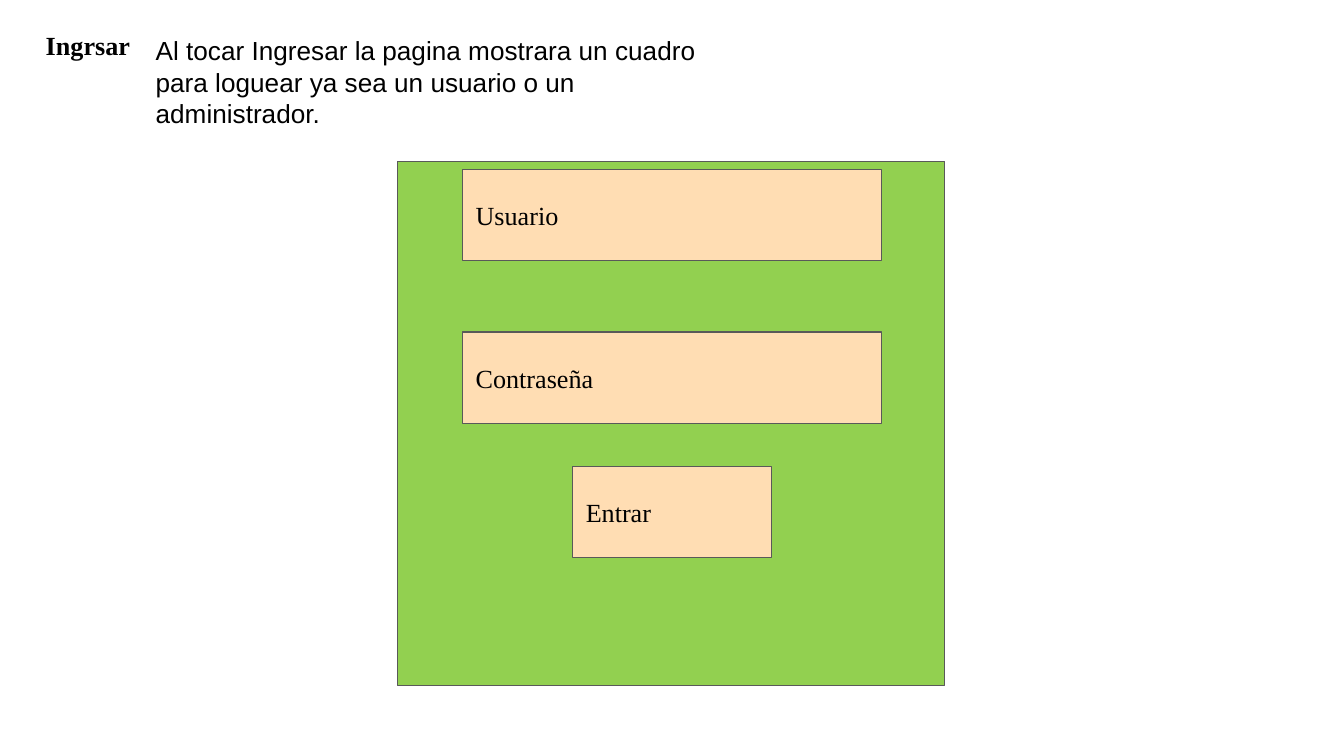
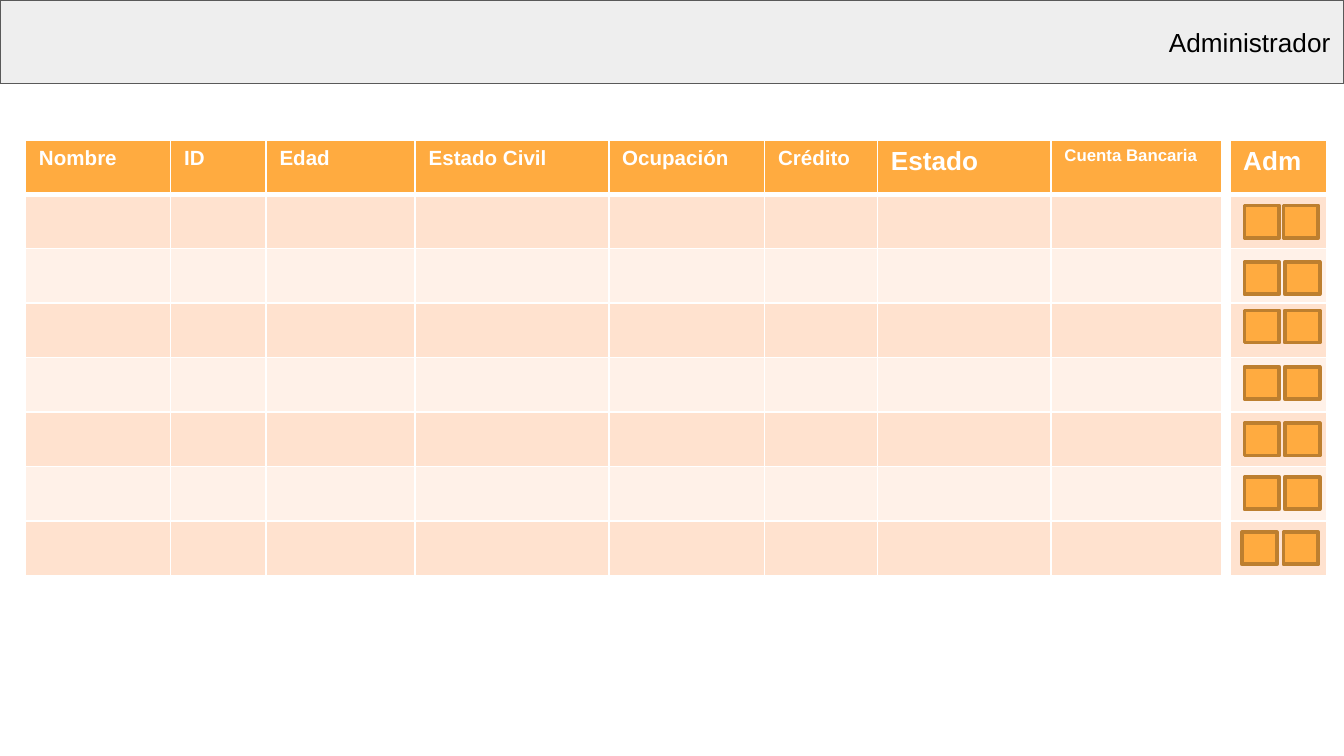
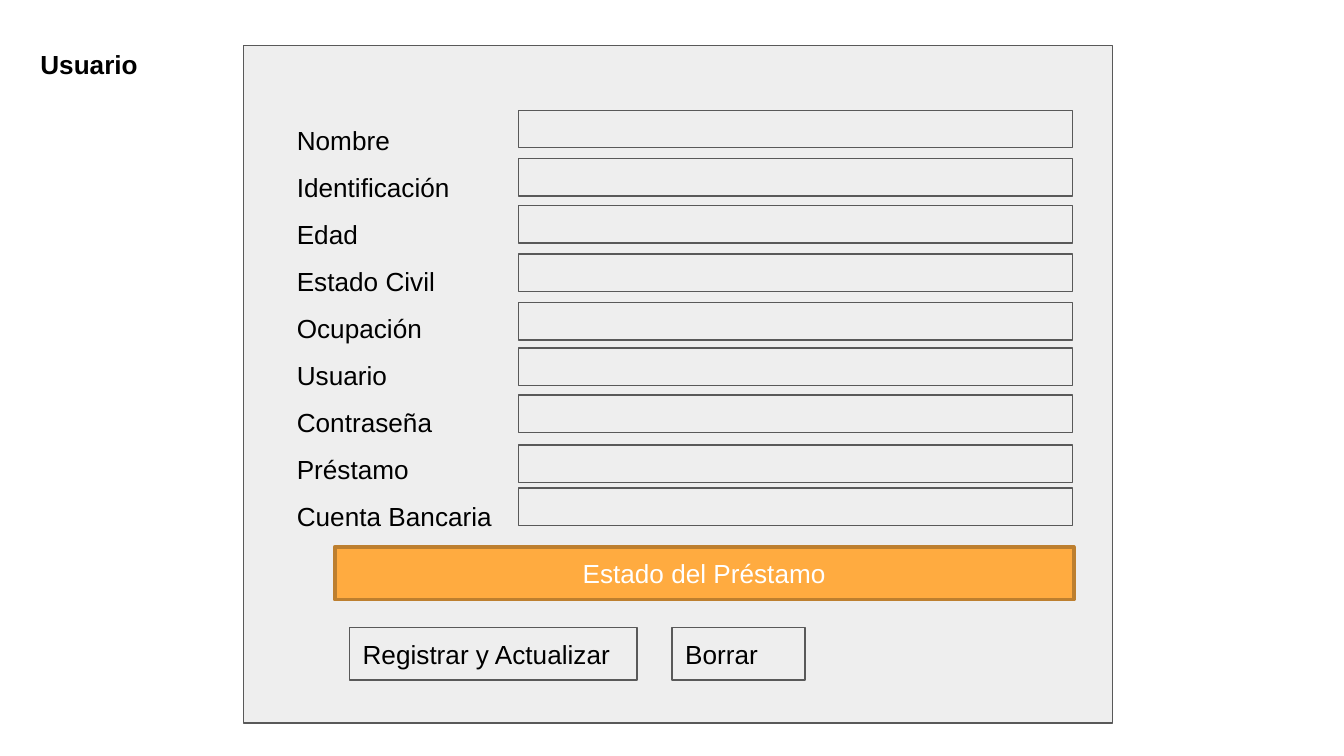
"""Build three wireframe slides: log in, administrator table and user form."""
from lxml import etree
from pptx import Presentation
from pptx.dml.color import RGBColor
from pptx.enum import shapes, text
from pptx.oxml import ns
from pptx.util import Inches, Pt

BLACK = RGBColor(0x00, 0x00, 0x00)
WHITE = RGBColor(0xFF, 0xFF, 0xFF)
GREY = RGBColor(0xEE, 0xEE, 0xEE)
DARK = RGBColor(0x59, 0x59, 0x59)
GREEN = RGBColor(0x92, 0xD0, 0x50)
PEACH = RGBColor(0xFF, 0xDD, 0xB3)
ORANGE = RGBColor(0xFF, 0xAB, 0x40)
BROWN = RGBColor(0xBD, 0x7F, 0x2F)
BANDS = (RGBColor(0xFF, 0xE2, 0xCF), RGBColor(0xFF, 0xF1, 0xE8))
SANS, SERIF = "Arial", "Times New Roman"
LEFT, CENTER, RIGHT = (text.PP_ALIGN.LEFT, text.PP_ALIGN.CENTER,
                       text.PP_ALIGN.RIGHT)
TOP, MIDDLE = text.MSO_ANCHOR.TOP, text.MSO_ANCHOR.MIDDLE
TITLE_ONLY = 5
SLIDE_WIDTH = 10
SLIDE_HEIGHT = SLIDE_WIDTH * 9 / 16

LOGIN_INTRO = ("Al tocar Ingresar la pagina mostrara un cuadro para loguear "
               "ya sea un usuario o un administrador.")
LOGIN_BOXES = [
    ("Usuario", 1.26, 3.12),
    ("Contraseña", 2.47, 3.12),
    ("Entrar", 3.47, 1.48),
]

ADMIN_TABLES = [
    (0.19, [("Nombre", 1.08, 11), ("ID", 0.71, 11), ("Edad", 1.11, 11),
            ("Estado Civil", 1.44, 11), ("Ocupación", 1.16, 11),
            ("Crédito", 0.84, 11), ("Estado", 1.31, 14)]),
    (7.82, [("Cuenta Bancaria", 1.27, 9)]),
    (9.15, [("Adm", 0.72, 14)]),
]
TABLE_TOP, TABLE_HEIGHT, TABLE_ROWS = 1.04, 3.24, 8
ADMIN_BUTTONS = [
    (1.53, 9.26, 9.55), (1.95, 9.26, 9.56), (2.31, 9.26, 9.56),
    (2.73, 9.26, 9.56), (3.15, 9.26, 9.56), (3.55, 9.26, 9.56),
    (3.96, 9.24, 9.55),
]

USER_FIELDS = [
    ("Nombre", 0.82), ("Identificación", 1.18), ("Edad", 1.53),
    ("Estado Civil", 1.89), ("Ocupación", 2.25), ("Usuario", 2.59),
    ("Contraseña", 2.94), ("Préstamo", 3.31), ("Cuenta Bancaria", 3.63),
]
USER_BUTTONS = [("Registrar y Actualizar", 2.6, 2.14), ("Borrar", 5, 0.99)]


def style_run(r, font=SANS, size=14, color=BLACK, bold=False):
    r.font.name = font
    r.font.size = Pt(size)
    r.font.color.rgb = color
    r.font.bold = bold


def write(sp, lines, align=LEFT, anchor=TOP, inset=0.1, spacing=1.0,
          wrap=True, grow=False, **run_style):
    tf = sp.text_frame
    tf.word_wrap = wrap
    tf.auto_size = (text.MSO_AUTO_SIZE.SHAPE_TO_FIT_TEXT if grow
                    else text.MSO_AUTO_SIZE.NONE)
    tf.vertical_anchor = anchor
    tf.margin_left = tf.margin_right = Inches(0.1)
    tf.margin_top = tf.margin_bottom = Inches(inset)
    for i, line in enumerate(lines):
        p = tf.add_paragraph() if i else tf.paragraphs[0]
        p.alignment = align
        p.line_spacing = spacing
        r = p.add_run()
        r.text = line
        style_run(r, **run_style)


def paint(sp, fill, line, width):
    sp.fill.solid()
    sp.fill.fore_color.rgb = fill
    sp.line.color.rgb = line
    sp.line.width = Pt(width)


def add_box(s, at, fill=GREY, line=DARK, width=0.75):
    sp = s.shapes.add_shape(shapes.MSO_SHAPE.RECTANGLE, *map(Inches, at))
    sp.shadow.inherit = False
    paint(sp, fill, line, width)
    return sp


def add_text(s, at, lines, **style):
    write(s.shapes.add_textbox(*map(Inches, at)), lines, **style)


def add_slide(prs, title, at, **style):
    s = prs.slides.add_slide(prs.slide_layouts[TITLE_ONLY])
    sp = s.shapes.title
    sp.left, sp.top, sp.width, sp.height = map(Inches, at)
    write(sp, [title], **style)
    return s


def set_border(cell, side, width):
    ln = etree.SubElement(cell._tc.get_or_add_tcPr(), ns.qn("a:ln" + side),
                          w=str(Pt(width)))
    fill = etree.SubElement(ln, ns.qn("a:solidFill"))
    etree.SubElement(fill, ns.qn("a:srgbClr"), val=str(WHITE))


def add_grid(s, left, columns):
    total = sum(width for _, width, _ in columns)
    at = (left, TABLE_TOP, total, TABLE_HEIGHT)
    table = s.shapes.add_table(TABLE_ROWS, len(columns),
                               *map(Inches, at)).table
    for row in table.rows:
        row.height = Inches(TABLE_HEIGHT / TABLE_ROWS)
    for c, (label, width, size) in enumerate(columns):
        table.columns[c].width = Inches(width)
        for n in range(TABLE_ROWS):
            cell = table.cell(n, c)
            for side in "LRTB":
                thick = (n, side) in ((0, "B"), (1, "T"))
                set_border(cell, side, 3 if thick else 1)
            cell.fill.solid()
            cell.fill.fore_color.rgb = BANDS[(n - 1) % 2] if n else ORANGE
        r = table.cell(0, c).text_frame.paragraphs[0].add_run()
        r.text = label
        style_run(r, size=size, color=WHITE, bold=True)


def build_login(prs):
    s = add_slide(prs, "Ingrsar", (0.24, 0.17, 1.63, 0.34), inset=0.05,
                  grow=True, font=SERIF, bold=True)
    add_box(s, (2.96, 1.2, 4.07, 3.9), GREEN)
    for label, top, width in LOGIN_BOXES:
        at = ((SLIDE_WIDTH - width) / 2, top, width, 0.68)
        write(add_box(s, at, PEACH), [label], anchor=MIDDLE, font=SERIF)
    add_text(s, (1.06, 0.21, 4.53, 0.81), [LOGIN_INTRO], inset=0.05,
             grow=True)


def build_admin(prs):
    s = add_slide(prs, "Administrador", (0, 0, SLIDE_WIDTH, 0.62),
                  align=RIGHT, anchor=MIDDLE)
    paint(s.shapes.title, GREY, DARK, 0.75)
    for left, columns in ADMIN_TABLES:
        add_grid(s, left, columns)
    for top, *lefts in ADMIN_BUTTONS:
        for left in lefts:
            add_box(s, (left, top, 0.26, 0.24), ORANGE, BROWN, 2)


def build_user(prs):
    s = add_slide(prs, "Usuario", (0.2, 0.31, 0.93, 0.34), inset=0.05,
                  wrap=False, grow=True, bold=True)
    add_box(s, (1.81, 0.34, 6.47, 5.04))
    add_text(s, (2.11, 0.71, 1.75, 2.92),
             [label for label, _ in USER_FIELDS], spacing=1.5)
    for _, top in USER_FIELDS:
        add_box(s, (3.86, top, 4.12, 0.28))
    status = add_box(s, (2.49, 4.07, 5.5, 0.39), ORANGE, BROWN, 2)
    write(status, ["Estado del Préstamo"], align=CENTER, anchor=MIDDLE,
          inset=0.05, color=WHITE)
    for label, left, width in USER_BUTTONS:
        write(add_box(s, (left, 4.67, width, 0.39)), [label], anchor=MIDDLE)


prs = Presentation()
prs.slide_width = Inches(SLIDE_WIDTH)
prs.slide_height = Inches(SLIDE_HEIGHT)
build_login(prs)
build_admin(prs)
build_user(prs)
prs.save("out.pptx")
